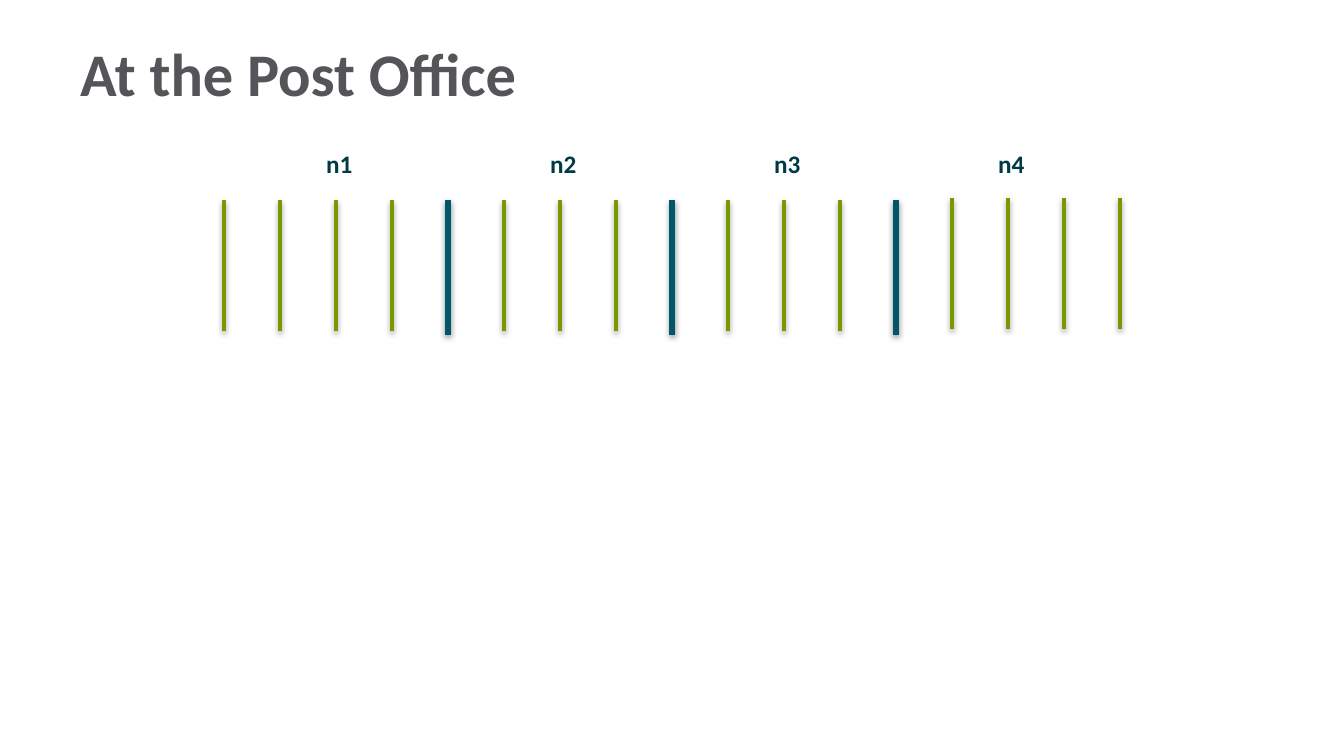
from lxml import etree
from pptx import Presentation
from pptx.dml.color import RGBColor
from pptx.enum.shapes import MSO_CONNECTOR
from pptx.enum.text import MSO_ANCHOR, MSO_AUTO_SIZE
from pptx.oxml import parse_xml
from pptx.util import Emu, Pt

STRAIGHT = MSO_CONNECTOR.STRAIGHT
MIDDLE, TOP = MSO_ANCHOR.MIDDLE, MSO_ANCHOR.TOP
GROW, FIXED = MSO_AUTO_SIZE.SHAPE_TO_FIT_TEXT, MSO_AUTO_SIZE.NONE
PX = 914400 / 134.4
GREEN, TEAL, DARK_TEAL, GREY = "799900", "005769", "003A46", "555559"
SHADOW = (
    '<a:effectLst xmlns:a="http://schemas.openxmlformats.org/drawingml/2006/main">'
    '<a:outerShdw blurRad="39370" dist="20320" dir="5400000" rotWithShape="0">'
    '<a:srgbClr val="000000"><a:alpha val="38000"/></a:srgbClr>'
    '</a:outerShdw></a:effectLst>'
)

prs = Presentation()
prs.slide_width, prs.slide_height = Emu(round(1344 * PX)), Emu(round(756 * PX))
s = prs.slides.add_slide(prs.slide_layouts[6])


def add_text(text, box, size, color, anchor, wrap, autosize):
    sp = s.shapes.add_textbox(*[Emu(round(v * PX)) for v in box])
    tf = sp.text_frame
    tf.word_wrap, tf.auto_size, tf.vertical_anchor = wrap, autosize, anchor
    r = tf.paragraphs[0].add_run()
    r.text = text
    r.font.name, r.font.size, r.font.bold = "Calibri", Pt(size), True
    r.font.color.rgb = RGBColor.from_string(color)


def add_bar(x, top, bottom, color, width):
    """Draw a vertical line with a soft shadow below it."""
    ends = [Emu(round(v * PX)) for v in (x, top, x, bottom)]
    line = s.shapes.add_connector(STRAIGHT, *ends)
    line.line.color.rgb = RGBColor.from_string(color)
    line.line.width = Pt(width)
    line._element.spPr.append(parse_xml(SHADOW))


add_text("At the Post Office", (67, 32, 1083, 81), 32.4, GREY, MIDDLE, True, FIXED)

# Every fourth inner bar is a thick divider between the groups.
for i in range(17):
    x = 224 + 56 * i
    if i in (4, 8, 12):
        add_bar(x, 200, 335, TEAL, 3.5)
    else:
        top = 198 if i > 12 else 200
        add_bar(x, top, top + 131, GREEN, 2)

for i in range(4):
    add_text(f"n{i + 1}", (313 + 224 * i, 142, 54, 44), 13.5, DARK_TEAL, TOP, False, GROW)

prs.save("out.pptx")
